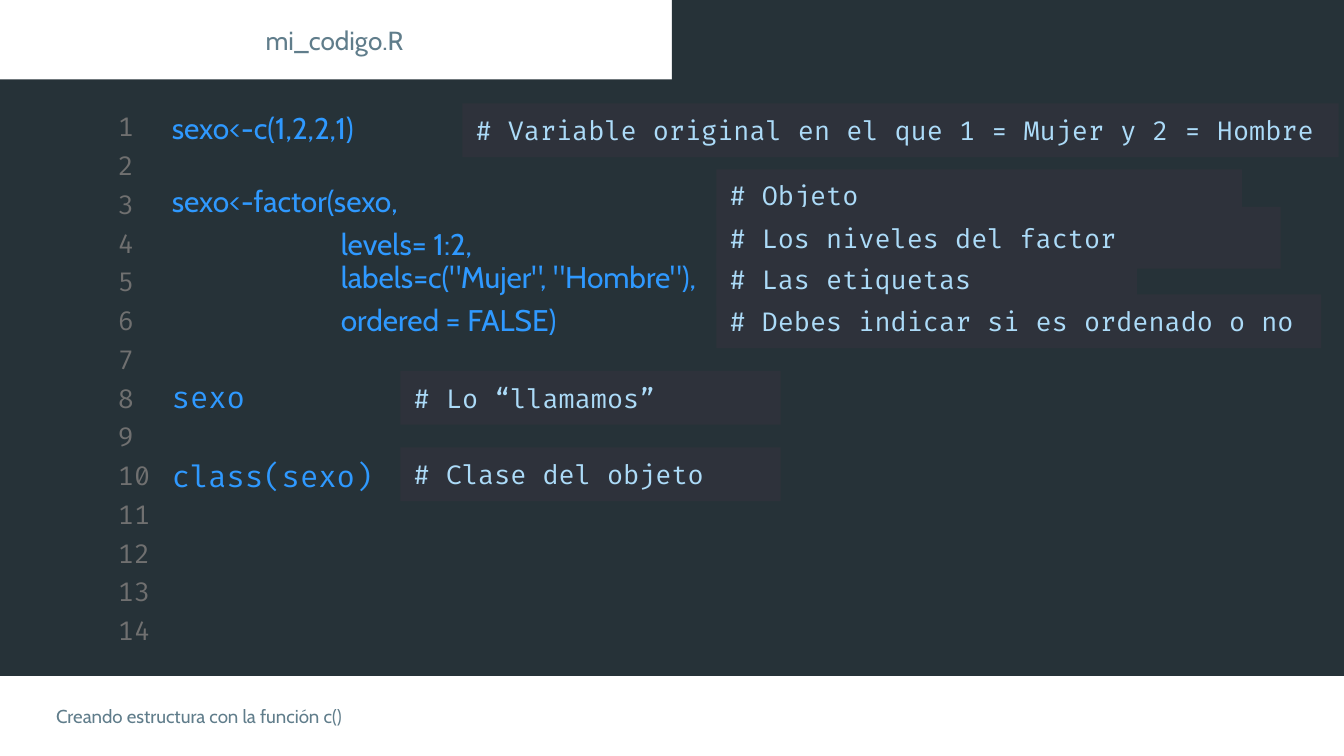
from pptx import Presentation
from pptx.dml.color import RGBColor
from pptx.enum.shapes import MSO_SHAPE
from pptx.enum.text import MSO_ANCHOR, PP_ALIGN
from pptx.util import Inches, Pt

RECT = MSO_SHAPE.RECTANGLE
MIDDLE, TOP = MSO_ANCHOR.MIDDLE, MSO_ANCHOR.TOP
LEFT, CENTER = PP_ALIGN.LEFT, PP_ALIGN.CENTER

SLIDE_W = 10
SLIDE_H = SLIDE_W * 9 / 16

SANS, MONO = "Cabin", "Fira Code"
EDITOR, COMMENT_FILL = "263238", "2E323B"
CODE, COMMENT, NUMBER, CAPTION = "2F99FF", "ACDBF8", "707070", "607D8B"

LINE_COUNT, FIRST_LINE, LAST_LINE = 14, 0.82, 4.57
LINE_STEP = (LAST_LINE - FIRST_LINE) / (LINE_COUNT - 1)
INDENT = " " * 13

# text, left, top, font
CODE_LINES = [
    ("sexo<-c(1,2,2,1)", 1.18, 0.79, SANS),
    ("sexo<-factor(sexo,", 1.18, 1.33, SANS),
    (INDENT + "levels= 1:2,", 1.79, 1.65, SANS),
    (INDENT + 'labels=c("Mujer", "Hombre"),', 1.79, 1.9, SANS),
    (INDENT + "ordered = FALSE)", 1.79, 2.22, SANS),
    ("sexo", 1.18, 2.77, MONO),
    ("class(sexo)", 1.18, 3.36, MONO),
]

# text, left, top, width, height
COMMENTS = [
    ("# Variable original en el que 1 = Mujer y 2 = Hombre", 3.44, 0.77, 6.52, 0.4),
    ("# Objeto", 5.33, 1.26, 3.91, 0.38),
    ("# Los niveles del factor", 5.33, 1.54, 4.2, 0.46),
    ("# Las etiquetas", 5.33, 1.88, 3.13, 0.4),
    ("# Debes indicar si es ordenado o no", 5.33, 2.19, 4.5, 0.4),
    ("# Clase del objeto", 2.98, 3.33, 2.83, 0.4),
    ("# Lo “llamamos”", 2.98, 2.76, 2.83, 0.4),
]


def rgb(color):
    return RGBColor.from_string(color)


def write(sp, text, *, font, size, color, align=LEFT, anchor=MIDDLE, inset=0.1):
    tf = sp.text_frame
    tf.word_wrap = True
    tf.vertical_anchor = anchor
    tf.margin_left = tf.margin_right = Inches(0.1)
    tf.margin_top = tf.margin_bottom = Inches(inset)
    p = tf.paragraphs[0]
    p.alignment = align
    r = p.add_run()
    r.text = text
    r.font.name = font
    r.font.size = Pt(size)
    r.font.color.rgb = rgb(color)


def add_panel(slide, x, y, w, h, fill):
    sp = slide.shapes.add_shape(RECT, Inches(x), Inches(y), Inches(w), Inches(h))
    sp.shadow.inherit = False
    sp.fill.solid()
    sp.fill.fore_color.rgb = rgb(fill)
    sp.line.fill.background()
    return sp


def add_label(slide, text, x, y, w, h, **style):
    sp = slide.shapes.add_textbox(Inches(x), Inches(y), Inches(w), Inches(h))
    write(sp, text, **style)


def add_code(slide, text, x, y, font):
    if font == MONO:
        w, h, anchor, inset = 5.28, 0.37, TOP, 0.05
    else:
        w, h, anchor, inset = 7.62, 0.32, MIDDLE, 0.1
    add_label(slide, text, x, y, w, h, font=font, size=16, color=CODE,
              anchor=anchor, inset=inset)


def add_comment(slide, text, x, y, w, h):
    sp = add_panel(slide, x, y, w, h, COMMENT_FILL)
    write(sp, text, font=MONO, size=14, color=COMMENT)


def main():
    prs = Presentation()
    prs.slide_width, prs.slide_height = Inches(SLIDE_W), Inches(SLIDE_H)
    slide = prs.slides.add_slide(prs.slide_layouts[6])

    add_panel(slide, 0, 0.59, SLIDE_W, 4.44, EDITOR)
    add_panel(slide, 5, 0, 5, 0.65, EDITOR)
    for i in range(LINE_COUNT):
        add_label(slide, str(i + 1), 0.78, FIRST_LINE + i * LINE_STEP, 0.47, 0.24,
                  font=MONO, size=14, color=NUMBER)

    add_label(slide, "mi_codigo.R", -0.01, 0.1, 5, 0.39,
              font=SANS, size=14, color=CAPTION, align=CENTER)
    add_label(slide, "Creando estructura con la función c()", 0.32, 5.13, 7.44, 0.39,
              font=SANS, size=10, color=CAPTION)

    for line in CODE_LINES:
        add_code(slide, *line)
    for comment in COMMENTS:
        add_comment(slide, *comment)

    prs.save("out.pptx")


if __name__ == "__main__":
    main()
